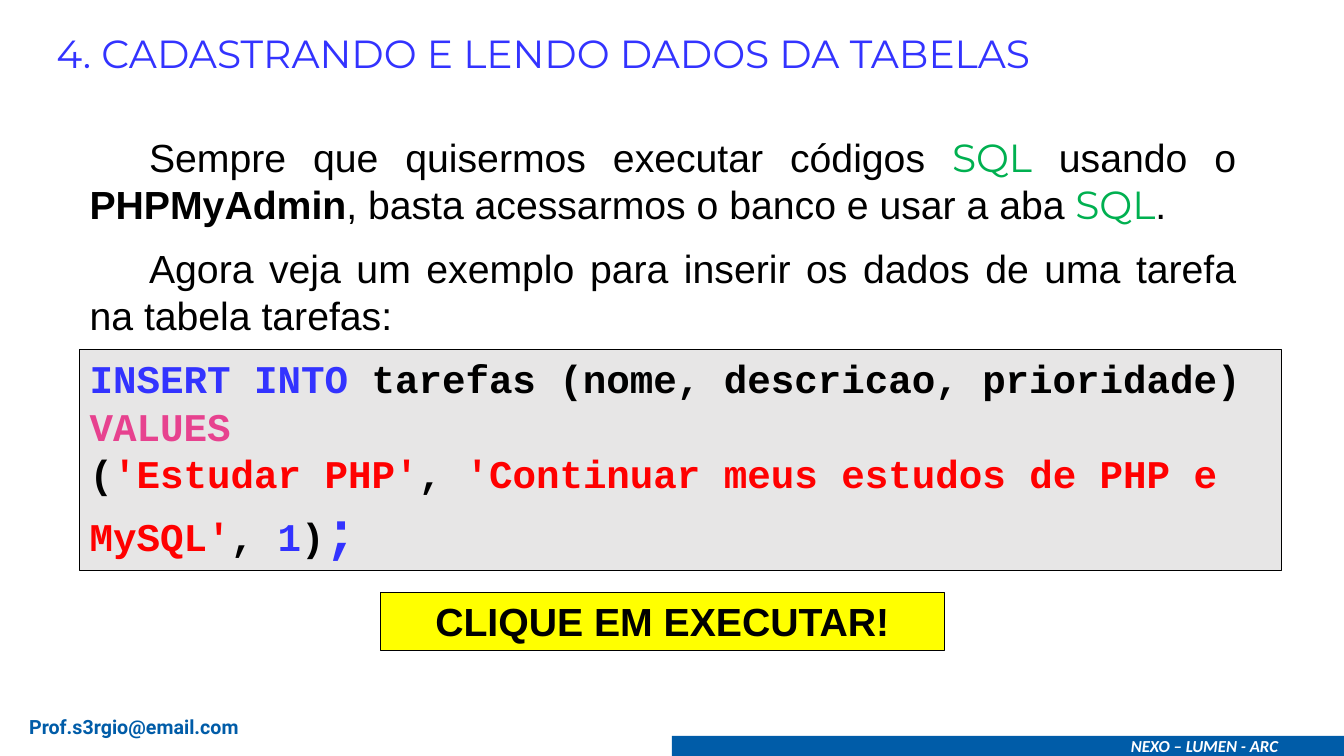
from pptx import Presentation
from pptx.dml.color import RGBColor
from pptx.enum.shapes import MSO_SHAPE
from pptx.enum.text import MSO_ANCHOR, MSO_AUTO_SIZE, PP_ALIGN
from pptx.util import Inches, Pt

RECTANGLE = MSO_SHAPE.RECTANGLE
TOP = MSO_ANCHOR.TOP
GROW = MSO_AUTO_SIZE.SHAPE_TO_FIT_TEXT
LEFT, CENTER, JUSTIFY = PP_ALIGN.LEFT, PP_ALIGN.CENTER, PP_ALIGN.JUSTIFY

BLACK = RGBColor(0x00, 0x00, 0x00)
WHITE = RGBColor(0xFF, 0xFF, 0xFF)
NAVY = RGBColor(0x00, 0x5C, 0xA8)
BLUE = RGBColor(0x33, 0x33, 0xFF)
GREEN = RGBColor(0x00, 0xB0, 0x50)
PINK = RGBColor(0xE7, 0x42, 0x8F)
RED = RGBColor(0xFF, 0x00, 0x00)
GRAY = RGBColor(0xE7, 0xE6, 0xE6)
YELLOW = RGBColor(0xFF, 0xFF, 0x00)

WIDTH, HEIGHT = Inches(13.33), Inches(7.5)
COLUMN, ROW = WIDTH / 100, HEIGHT / 100
MARGIN = 5.93
FIRST_LINE = Inches(0.59)


def place(left, top, width, height):
    return (round(left * COLUMN), round(top * ROW),
            round(width * COLUMN), round(height * ROW))


def add_panel(page, area, fill, line=None):
    panel = page.shapes.add_shape(RECTANGLE, *place(*area))
    panel.shadow.inherit = False
    panel.fill.solid()
    panel.fill.fore_color.rgb = fill
    if line is None:
        panel.line.fill.background()
    else:
        panel.line.color.rgb = line
        panel.line.width = Pt(0.75)
    return panel


def add_label(page, area):
    return page.shapes.add_textbox(*place(*area))


def write(box, paragraphs, align=LEFT, space=0, indent=0, **base):
    frame = box.text_frame
    frame.word_wrap = True
    frame.auto_size = GROW
    frame.vertical_anchor = TOP
    for index, spans in enumerate(paragraphs):
        para = frame.add_paragraph() if index else frame.paragraphs[0]
        para.alignment = align
        if index:
            para.space_before = Pt(space)
        if indent:
            para._p.get_or_add_pPr().set("indent", str(indent))
        for text, changes in spans:
            style = {**base, **changes}
            span = para.add_run()
            span.text = text
            span.font.name = style["font"]
            span.font.size = Pt(style["size"])
            span.font.color.rgb = style["color"]
            span.font.bold = style.get("bold", False)
            span.font.italic = style.get("italic", False)


def add_footer(page):
    add_panel(page, (50, 97.33, 50, 2.67), NAVY)
    write(add_label(page, (83.4, 96.67, 12.9, 4)),
          [[("NEXO – LUMEN - ARC", {})]],
          font="Calibri", size=12, color=WHITE, bold=True, italic=True)
    write(add_label(page, (1.43, 93.87, 28.35, 4.53)),
          [[("Prof.s3rgio@email.com", {})]],
          align=JUSTIFY, font="Roboto", size=14, color=NAVY, bold=True)


def add_explanation(page):
    keyword = ("SQL", {"font": "Montserrat", "color": GREEN})
    write(add_label(page, (MARGIN, 16.93, 86.78, 28.67)), [
        [("Sempre que quisermos executar códigos ", {}), keyword,
         (" usando o ", {}), ("PHPMyAdmin", {"bold": True}),
         (", basta acessarmos o banco e usar a aba ", {}), keyword, (".", {})],
        [("Agora veja um exemplo para inserir os dados de uma tarefa "
          "na tabela tarefas:", {})],
    ], align=JUSTIFY, space=12, indent=FIRST_LINE,
        font="Arial", size=28, color=BLACK)


def add_code(page):
    blue, red = {"color": BLUE}, {"color": RED}
    write(add_panel(page, (MARGIN, 46.27, 89.4, 29.2), GRAY, BLACK), [
        [("INSERT INTO ", blue), ("tarefas (nome, descricao, prioridade)", {})],
        [("VALUES", {"color": PINK})],
        [("(", {}), ("'Estudar PHP'", red), (", ", {}),
         ("'Continuar meus estudos de PHP e MySQL'", red), (",", {}),
         (" 1", blue), (")", {}), (";", {"color": BLUE, "size": 40})],
    ], font="Courier New", size=28, color=BLACK, bold=True)


def main():
    deck = Presentation()
    deck.slide_width, deck.slide_height = WIDTH, HEIGHT
    page = deck.slides.add_slide(deck.slide_layouts[6])
    add_footer(page)
    write(add_label(page, (3.45, 3.2, 87.97, 7.6)),
          [[("4. CADASTRANDO E LENDO DADOS DA TABELAS", {})]],
          align=JUSTIFY, font="Montserrat", size=28, color=BLUE)
    add_explanation(page)
    add_code(page)
    write(add_panel(page, (28.28, 78.4, 42, 7.6), YELLOW, BLACK),
          [[("CLIQUE EM EXECUTAR!", {})]],
          align=CENTER, font="Arial", size=28, color=BLACK, bold=True)
    deck.save("out.pptx")


if __name__ == "__main__":
    main()
